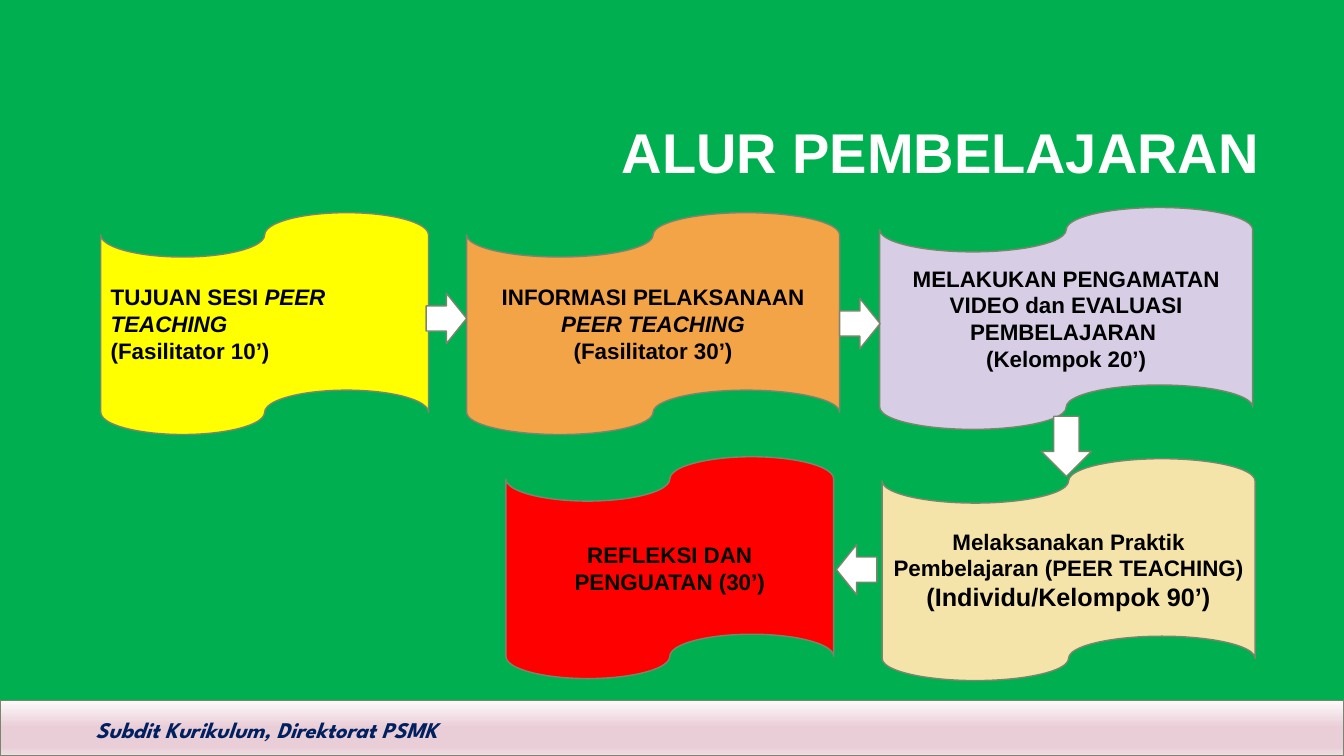
from copy import deepcopy
from typing import NamedTuple

from pptx import Presentation
from pptx import util as u
from pptx.dml.color import RGBColor
from pptx.enum import shapes, text

HUES = {
    "green": "00B050", "white": "FFFFFF", "black": "000000", "navy": "002060",
    "edge": "7A866C", "yellow": "FFFF00", "orange": "F3A447",
    "lilac": "D7CEE6", "cream": "F5E4A9", "red": "FF0000",
    "pale": "FDFAFB", "pink": "EACED7", "rose": "F1DEE5",
}
FADE = [(0, "pale"), (0.48, "pink"), (0.84, "pink"), (1, "rose")]
KIND = shapes.MSO_SHAPE
SIDE = text.PP_ALIGN
MID = text.MSO_ANCHOR.MIDDLE


class Run(NamedTuple):
    words: str
    size: int = 16
    slant: bool = False
    hue: str = "black"
    face: str = "Arial"


class Tape(NamedTuple):
    left: float
    top: float
    width: float
    hue: str
    lines: list[list[Run]]
    side: SIDE = SIDE.CENTER


class Arrow(NamedTuple):
    left: float
    top: float
    kind: KIND = KIND.RIGHT_ARROW
    width: float = 1.02
    height: float = 1.27


SLIM, WIDE, TALL = 8.26, 9.4, 5.59
TAPES = [
    Tape(2.54, 5.36, SLIM, "yellow", [
        [Run("TUJUAN SESI "), Run("PEER TEACHING", slant=True)],
        [Run("(Fasilitator 10’)")]], SIDE.LEFT),
    Tape(11.76, 5.36, WIDE, "orange", [
        [Run("INFORMASI PELAKSANAAN "), Run("PEER TEACHING", slant=True)],
        [Run("(Fasilitator 30’)")]]),
    Tape(22.23, 11.56, WIDE, "cream", [
        [Run("Melaksanakan Praktik Pembelajaran (PEER TEACHING) "),
         Run("(Individu/Kelompok 90’)", 18)]]),
    Tape(22.17, 5.23, WIDE, "lilac", [
        [Run("MELAKUKAN PENGAMATAN VIDEO dan EVALUASI PEMBELAJARAN ")],
        [Run("(Kelompok 20’)")]]),
    Tape(12.75, 11.51, SLIM, "red", [[Run("REFLEKSI DAN PENGUATAN (30’)")]]),
]
ARROWS = [
    Arrow(10.74, 7.39),
    Arrow(21.16, 7.52),
    Arrow(26.24, 10.49, KIND.DOWN_ARROW, 1.27, 1.52),
    Arrow(21.08, 13.72, KIND.LEFT_ARROW),
]


def tint(name: str) -> RGBColor:
    return RGBColor.from_string(HUES[name])


def write(frame, lines: list[list[Run]], side: SIDE) -> None:
    frame.vertical_anchor = MID
    for num, line in enumerate(lines):
        para = frame.add_paragraph() if num else frame.paragraphs[0]
        para.alignment = side
        for item in line:
            run = para.add_run()
            run.text = item.words
            font = run.font
            font.name, font.size = item.face, u.Pt(item.size)
            font.bold, font.italic = True, item.slant
            font.color.rgb = tint(item.hue)


def block(slide, kind: KIND, left: float, top: float, width: float,
          height: float, hue: str):
    shape = slide.shapes.add_shape(
        kind, u.Cm(left), u.Cm(top), u.Cm(width), u.Cm(height))
    shape.shadow.inherit = False
    shape.fill.solid()
    shape.fill.fore_color.rgb = tint(hue)
    shape.line.color.rgb = tint("edge")
    shape.line.width = u.Pt(1)
    return shape


def fade(shape) -> None:
    shape.fill.gradient()
    shape.fill.gradient_angle = 270
    for stop in shape._element.xpath(".//a:gs"):
        stop.addnext(deepcopy(stop))
    for stop, (place, hue) in zip(shape.fill.gradient_stops, FADE):
        stop.color.rgb = tint(hue)
        stop.position = place


def main() -> None:
    deck = Presentation()
    deck.slide_width, deck.slide_height = u.Cm(33.87), u.Cm(19.05)
    slide = deck.slides.add_slide(deck.slide_layouts[5])
    slide.background.fill.solid()
    slide.background.fill.fore_color.rgb = tint("green")

    fade(block(slide, KIND.RECTANGLE, 0, 17.65, 33.87, 1.4, "pink"))
    foot = slide.shapes.add_textbox(
        u.Cm(2.16), u.Cm(17.91), u.Cm(9.73), u.Cm(0.94)).text_frame
    foot.word_wrap = False
    write(foot, [[Run("Subdit Kurikulum, Direktorat PSMK", 16, True,
                      "navy", "League Spartan")]], SIDE.LEFT)

    title = slide.shapes.title
    title.left, title.top = u.Cm(8.05), u.Cm(2.13)
    title.width, title.height = u.Cm(23.93), u.Cm(3.58)
    write(title.text_frame, [[Run("ALUR PEMBELAJARAN", 40, hue="white")]],
          SIDE.RIGHT)
    title.text_frame.paragraphs[0].line_spacing = 0.9

    for tape in TAPES:
        shape = block(slide, KIND.FLOWCHART_PUNCHED_TAPE, tape.left, tape.top,
                      tape.width, TALL, tape.hue)
        write(shape.text_frame, tape.lines, tape.side)
    for arrow in ARROWS:
        block(slide, arrow.kind, arrow.left, arrow.top, arrow.width,
              arrow.height, "white")

    deck.save("out.pptx")


main()
